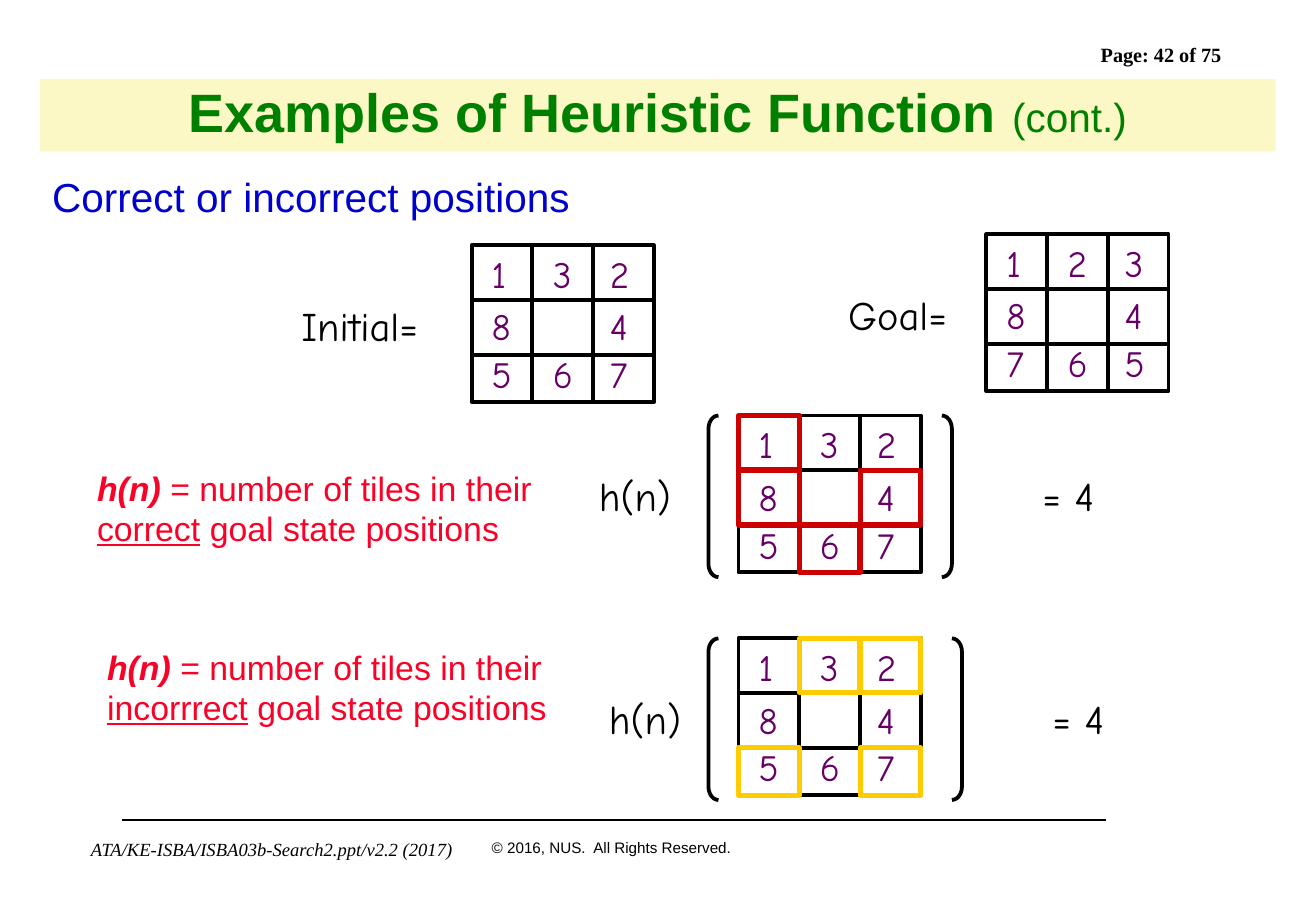
from dataclasses import dataclass

from pptx import Presentation
from pptx.dml.color import RGBColor
from pptx.enum.shapes import MSO_CONNECTOR, MSO_SHAPE
from pptx.enum.text import MSO_ANCHOR, MSO_AUTO_SIZE, PP_ALIGN
from pptx.oxml.ns import qn
from pptx.util import Cm, Pt

STRAIGHT = MSO_CONNECTOR.STRAIGHT
RECTANGLE = MSO_SHAPE.RECTANGLE
LEFT_BRACKET = MSO_SHAPE.LEFT_BRACKET
RIGHT_BRACKET = MSO_SHAPE.RIGHT_BRACKET
CENTER, LEFT = PP_ALIGN.CENTER, PP_ALIGN.LEFT
MIDDLE, TOP = MSO_ANCHOR.MIDDLE, MSO_ANCHOR.TOP
GROW = MSO_AUTO_SIZE.SHAPE_TO_FIT_TEXT


@dataclass(frozen=True)
class Theme:
    sans: str = "Arial"
    serif: str = "Times New Roman"
    hand: str = "Comic Neue"
    black: str = "000000"
    white: str = "FFFFFF"
    band: str = "FBF8C5"
    title: str = "008000"
    subtitle: str = "0000CC"
    note: str = "FC0128"
    digit: str = "660066"
    correct: str = "CC0000"
    incorrect: str = "FFCC00"
    title_size: int = 32
    large_size: int = 24
    digit_size: int = 22
    note_size: int = 20
    page_size: int = 12
    file_size: int = 11
    rights_size: int = 9
    thin: float = 1
    medium: float = 2.25
    thick: float = 3


THEME = Theme()

# Board geometry in cm, measured from the board's top left corner
COLUMN_EDGES = (0, 1.27, 2.54, 3.81)
ROW_EDGES = (0, 1.14, 2.29, 3.28)
DIGIT_LEFTS = (0.17, 1.45, 2.64)
DIGIT_TOPS = (0, 1.1, 2.1)
LABEL_DROP = 1.04


def rgb(color):
    return RGBColor.from_string(color)


def add_text(shapes, x, y, w, h, runs, *, size, color, font=THEME.sans, bold=False,
             italic=False, align=LEFT, anchor=TOP, wrap=True, fill=None, spacing=None):
    """Add a text box; runs is a string or a list of (text, font overrides)."""
    box = shapes.add_textbox(Cm(x), Cm(y), Cm(w), Cm(h))
    if fill:
        box.fill.solid()
        box.fill.fore_color.rgb = rgb(fill)
    frame = box.text_frame
    frame.word_wrap = wrap
    frame.vertical_anchor = anchor
    if not fill:
        frame.auto_size = GROW
    paragraph = frame.paragraphs[0]
    paragraph.alignment = align
    if spacing:
        paragraph.line_spacing = spacing
    for text, changes in [(runs, {})] if isinstance(runs, str) else runs:
        run = paragraph.add_run()
        run.text = text
        run.font.name = font
        run.font.color.rgb = rgb(color)
        run.font.size = Pt(changes.get("size", size))
        run.font.bold = changes.get("bold", bold)
        run.font.italic = changes.get("italic", italic)
        run.font.underline = changes.get("underline", False)


def add_outline(shapes, kind, x, y, w, h, color, weight, fill=None):
    shape = shapes.add_shape(kind, Cm(x), Cm(y), Cm(w), Cm(h))
    shape.shadow.inherit = False
    if fill:
        shape.fill.solid()
        shape.fill.fore_color.rgb = rgb(fill)
    else:
        shape.fill.background()
    shape.line.color.rgb = rgb(color)
    shape.line.width = Pt(weight)
    return shape


def add_rule(shapes, x1, y1, x2, y2, weight):
    rule = shapes.add_connector(STRAIGHT, Cm(x1), Cm(y1), Cm(x2), Cm(y2))
    rule.line.color.rgb = rgb(THEME.black)
    rule.line.width = Pt(weight)
    properties = rule._element.spPr
    properties.append(properties.makeelement(qn("a:effectLst"), {}))


def add_board(shapes, x, y, rows, marked=(), mark_color=None):
    """Draw a 3 by 3 puzzle; marked lists the (row, column) cells to frame."""
    width, height = COLUMN_EDGES[-1], ROW_EDGES[-1]
    add_outline(shapes, RECTANGLE, x, y, width, height,
                THEME.black, THEME.medium, THEME.white)
    for edge in COLUMN_EDGES[1:-1]:
        add_rule(shapes, x + edge, y, x + edge, y + height, THEME.medium)
    for edge in ROW_EDGES[1:-1]:
        add_rule(shapes, x, y + edge, x + width, y + edge, THEME.medium)
    for row, top in zip(rows, DIGIT_TOPS):
        for digit, left in zip(row, DIGIT_LEFTS):
            if digit != " ":
                add_text(shapes, x + left, y + top, 1, 1.19, digit, font=THEME.hand,
                         size=THEME.digit_size, color=THEME.digit)
    for row, column in marked:
        left, right = COLUMN_EDGES[column:column + 2]
        top, bottom = ROW_EDGES[row:row + 2]
        add_outline(shapes, RECTANGLE, x + left, y + top, right - left, bottom - top,
                    mark_color, THEME.thick)


def add_label(shapes, x, board_top, w, text):
    add_text(shapes, x, board_top + LABEL_DROP, w, 1.27, text, font=THEME.hand,
             size=THEME.large_size, color=THEME.black, wrap=False)


def add_state(slide, label, label_x, label_w, x, y, rows):
    state = slide.shapes.add_group_shape().shapes
    add_board(state, x, y, rows)
    add_label(state, label_x, y, label_w, label)


def add_heuristic(slide, word, y, note_y, shift, rows, marked, mark_color):
    """Add the definition and its worked example; shift moves the outer parts right."""
    add_text(slide.shapes, 1.78 + shift, note_y, 9.73, 1.96,
             [("h(n)", {"bold": True, "italic": True}),
              (" = number of tiles in their ", {}),
              (word, {"underline": True}),
              (" goal state positions", {})],
             size=THEME.note_size, color=THEME.note)
    example = slide.shapes.add_group_shape().shapes
    add_board(example, 15.44, y, rows, marked, mark_color)
    add_label(example, 12.27 + shift, y, 2.06, "h(n)")
    for kind, x in ((LEFT_BRACKET, 14.81), (RIGHT_BRACKET, 19.69 + shift)):
        bracket = add_outline(example, kind, x, y, 0.21, 3.38, THEME.black, THEME.medium)
        bracket.adjustments[0] = 1.33
    add_label(example, 21.54 + shift, y, 1.7, "= 4")


def add_page_furniture(slide):
    add_rule(slide.shapes, 2.54, 17.15, 23.11, 17.15, THEME.thin)
    add_text(slide.shapes, 22.76, 0.76, 3.66, 0.76, "Page: 42 of 75", font=THEME.serif,
             size=THEME.page_size, color=THEME.black, bold=True)
    add_text(slide.shapes, 1.65, 17.4, 8.18, 0.71,
             "ATA/KE-ISBA/ISBA03b-Search2.ppt/v2.2 (2017)", font=THEME.serif,
             size=THEME.file_size, color=THEME.black, italic=True, wrap=False)
    add_text(slide.shapes, 10.03, 17.4, 5.56, 0.64, "© 2016, NUS.  All Rights Reserved.",
             size=THEME.rights_size, color=THEME.black, wrap=False)


def main():
    deck = Presentation()
    deck.slide_width, deck.slide_height = Cm(27.51), Cm(19.05)
    slide = deck.slides.add_slide(deck.slide_layouts[6])
    add_page_furniture(slide)

    # Title and subtitle
    add_text(slide.shapes, 0.84, 1.65, 25.83, 1.52,
             [("Examples of Heuristic Function ", {"bold": True}),
              ("(cont.)", {"size": THEME.large_size})],
             size=THEME.title_size, color=THEME.title, align=CENTER, anchor=MIDDLE,
             fill=THEME.band, spacing=0.9)
    add_text(slide.shapes, 0.84, 3.48, 25.83, 1.2, "Correct or incorrect positions",
             size=THEME.large_size, color=THEME.subtitle)

    # Start and end states
    initial = ("132", "8 4", "567")
    goal = ("123", "8 4", "765")
    add_state(slide, "Initial=", 6.05, 3.4, 9.86, 5.13, initial)
    add_state(slide, "Goal=", 17.48, 2.64, 20.62, 4.9, goal)

    # Two heuristics applied to the initial state
    in_place = [(0, 0), (1, 0), (1, 2), (2, 1)]
    misplaced = [(0, 1), (0, 2), (2, 0), (2, 2)]
    add_heuristic(slide, "correct", 8.69, 9.65, 0, initial, in_place, THEME.correct)
    add_heuristic(slide, "incorrrect", 13.35, 13.39, 0.21, initial, misplaced,
                  THEME.incorrect)

    deck.save("out.pptx")


if __name__ == "__main__":
    main()
